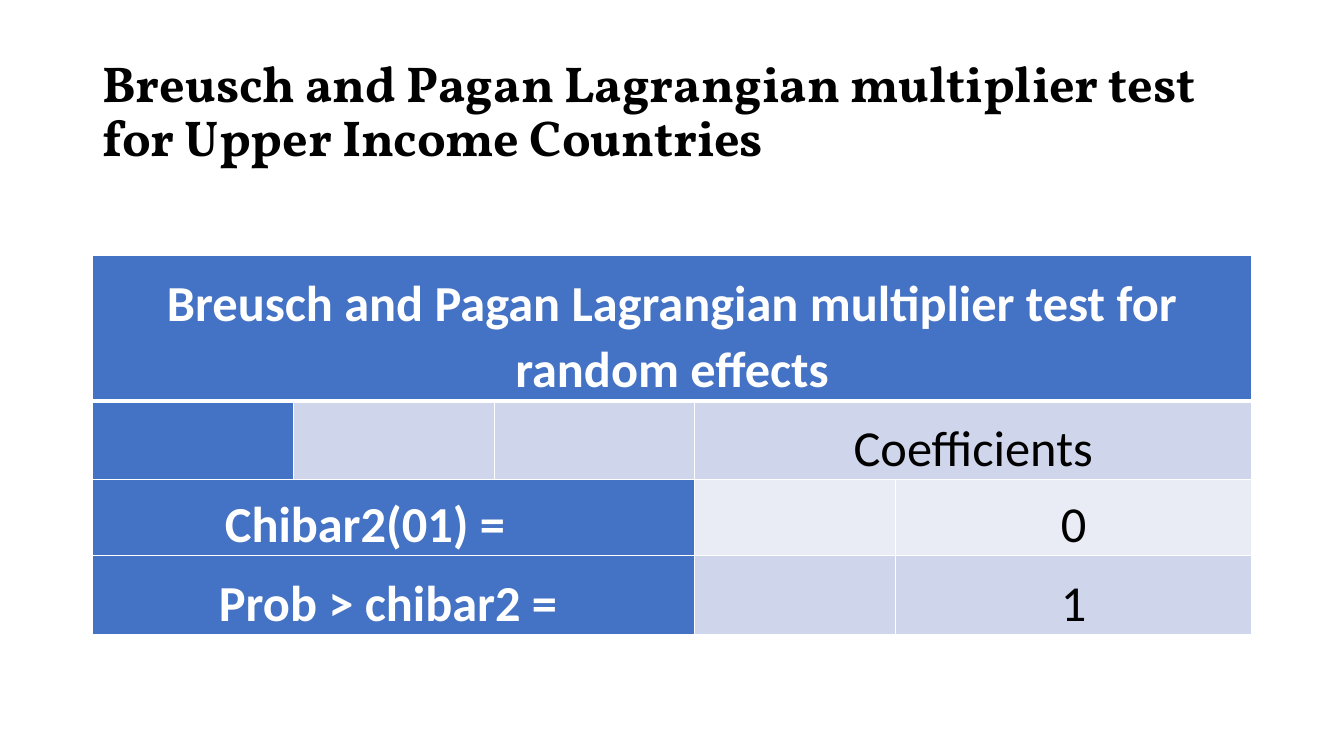
from dataclasses import dataclass

from lxml.etree import fromstring
from pptx import Presentation
from pptx.dml.color import RGBColor as RGB
from pptx.enum.text import MSO_ANCHOR as Anchor, PP_ALIGN as Align
from pptx.util import Pt


@dataclass(frozen=True)
class Theme:
    blue: str = "4472C4"
    band: str = "CFD5EA"
    pale: str = "E9EBF5"
    white: str = "FFFFFF"
    black: str = "000000"
    size: int = 36
    head: str = "Vollkorn"
    body: str = "Calibri"


theme = Theme()
NS = "http://schemas.openxmlformats.org/drawingml/2006/main"


def write(frame, text, face, color, bold, space, align):
    para = frame.paragraphs[0]
    para.alignment, para.line_spacing = align, space
    run = para.add_run()
    run.text = text
    look = {"name": face, "size": Pt(theme.size), "bold": bold}
    for key, value in look.items():
        setattr(run.font, key, value)
    run.font.color.rgb = RGB.from_string(color)


def edge(cell, widths):
    """Draw white borders; widths are left, right, top, bottom in points."""
    props = cell._tc.get_or_add_tcPr()
    for spot, (side, width) in enumerate(zip("LRTB", widths)):
        props.insert(spot, fromstring(
            f'<a:ln{side} xmlns:a="{NS}" w="{Pt(width)}"><a:solidFill>'
            f'<a:srgbClr val="{theme.white}"/></a:solidFill></a:ln{side}>'))


deck = Presentation()
deck.slide_width, deck.slide_height = Pt(960), Pt(540)
slide = deck.slides.add_slide(deck.slide_layouts[6])

title = slide.shapes.add_textbox(Pt(66), Pt(28.8), Pt(828), Pt(104.4)).text_frame
title.word_wrap = True
title.vertical_anchor = Anchor.MIDDLE
write(title, "Breusch and Pagan Lagrangian multiplier test for Upper Income Countries",
      theme.head, theme.black, True, 0.9, Align.LEFT)

cols = [143.4] * 4 + [254.4]
rows = [104, 56.6, 54.3, 56.6]
grid = slide.shapes.add_table(len(rows), len(cols), Pt(66.2), Pt(182.2),
                              Pt(sum(cols)), Pt(sum(rows))).table
for col, width in zip(grid.columns, cols):
    col.width = Pt(width)
for row, height in zip(grid.rows, rows):
    row.height = Pt(height)

# Number of blue cells at the start of each row, then the fill of the rest
fills = [(5, theme.blue), (1, theme.band), (3, theme.pale), (3, theme.band)]
for r, (count, rest) in enumerate(fills):
    for c in range(len(cols)):
        cell = grid.cell(r, c)
        cell.fill.solid()
        cell.fill.fore_color.rgb = RGB.from_string(theme.blue if c < count else rest)
        edge(cell, (1, 1, 3 if r == 1 else 1, 3 if r == 0 else 1))

# Row, column, columns spanned, right margin, text
labels = [
    (0, 0, 5, 5, "Breusch and Pagan Lagrangian multiplier test for random effects"),
    (1, 3, 2, 5, "Coefficients"),
    (2, 0, 3, 46, "Chibar2(01) ="),
    (2, 4, 1, 5, "0"),
    (3, 0, 3, 13, "Prob > chibar2 ="),
    (3, 4, 1, 5, "1"),
]
for r, c, span, right, text in labels:
    cell = grid.cell(r, c)
    if span > 1:
        cell.merge(grid.cell(r, c + span - 1))
    form = {"margin_left": Pt(5), "margin_right": Pt(right), "margin_top": 0,
            "margin_bottom": 0, "vertical_anchor": Anchor.BOTTOM}
    for key, value in form.items():
        setattr(cell, key, value)
    main = c == 0
    write(cell.text_frame, text, theme.body, theme.white if main else theme.black,
          main, 1.07, Align.CENTER)

deck.save("out.pptx")
